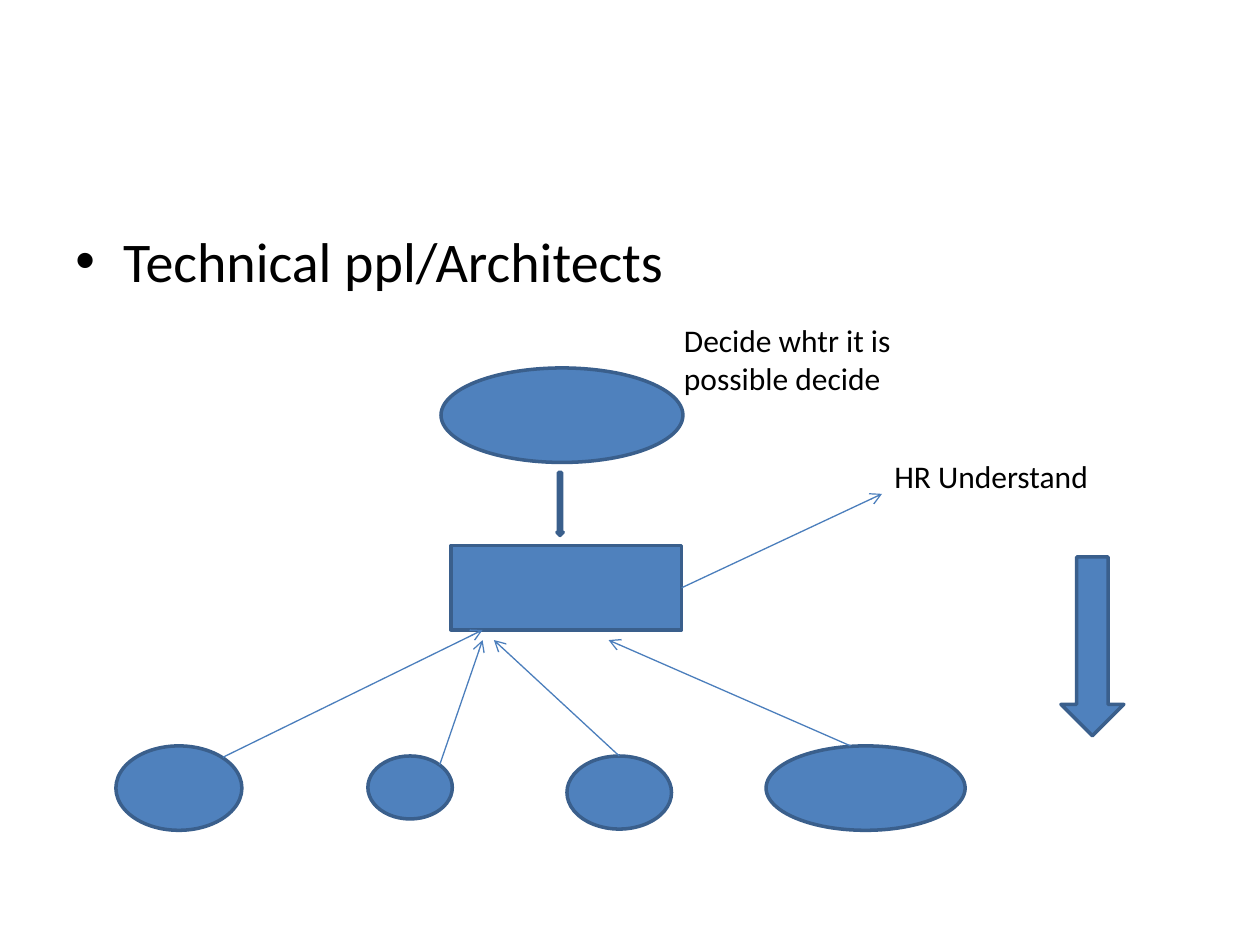
import dataclasses

import pptx
import pptx.dml.color
import pptx.enum.shapes
import pptx.oxml
import pptx.util

Inches = pptx.util.Inches
Pt = pptx.util.Pt
Kind = pptx.enum.shapes.MSO_SHAPE
TOP, RIGHT = 0, 3


@dataclasses.dataclass(frozen=True)
class Theme:
    font: str = "Calibri"
    ink: str = "000000"
    fill: str = "4F81BD"
    edge: str = "3A5F8C"
    link: str = "4B7EBC"
    body: float = 32
    note: float = 18
    border: float = 2
    thin: float = 0.75


THEME = Theme()


def color(code):
    return pptx.dml.color.RGBColor.from_string(code)


def add_text(slide, text, box, size=THEME.note, bullet=False, before=0):
    shape = slide.shapes.add_textbox(*map(Inches, box))
    shape.text_frame.word_wrap = True
    para = shape.text_frame.paragraphs[0]
    para.space_before = Pt(before)
    run = para.add_run()
    run.text = text
    run.font.name = THEME.font
    run.font.size = Pt(size)
    run.font.color.rgb = color(THEME.ink)
    if bullet:
        props = para._p.get_or_add_pPr()
        props.set("marL", str(Inches(0.38)))
        props.set("indent", str(Inches(-0.38)))
        space = pptx.oxml.ns.nsdecls("a")
        for mark in ('<a:buFont %s typeface="Arial"/>', '<a:buChar %s char="•"/>'):
            props.append(pptx.oxml.parse_xml(mark % space))


def add_node(slide, kind, box):
    node = slide.shapes.add_shape(kind, *map(Inches, box))
    node.shadow.inherit = False
    node.fill.solid()
    node.fill.fore_color.rgb = color(THEME.fill)
    node.line.color.rgb = color(THEME.edge)
    node.line.width = Pt(THEME.border)
    return node


def add_arrow(slide, start, end, source=None, site=TOP):
    """Draw a thin arrow, joined to a side of source when one is given."""
    link = slide.shapes.add_connector(
        pptx.enum.shapes.MSO_CONNECTOR.STRAIGHT, *map(Inches, start + end))
    if source is not None:
        link.begin_connect(source, site)
    link.line.color.rgb = color(THEME.link)
    link.line.width = Pt(THEME.thin)
    space = pptx.oxml.ns.nsdecls("a")
    link.line._get_or_add_ln().append(
        pptx.oxml.parse_xml('<a:tailEnd %s type="arrow"/>' % space))
    link._element.spPr.append(
        pptx.oxml.parse_xml("<a:effectLst %s/>" % space))


def main():
    deck = pptx.Presentation()
    deck.slide_width, deck.slide_height = Inches(10), Inches(7.5)
    slide = deck.slides.add_slide(deck.slide_layouts[6])

    add_text(slide, "Technical ppl/Architects", (0.5, 1.75, 9, 4.95),
             size=THEME.body, bullet=True, before=6.4)
    add_node(slide, Kind.OVAL, (3.5, 2.92, 1.92, 0.75))
    add_text(slide, "Decide whtr it is possible decide", (5.33, 2.5, 2.5, 0.71))
    hub = add_node(slide, Kind.RECTANGLE, (3.58, 4.33, 1.83, 0.67))
    add_node(slide, Kind.DOWN_ARROW, (4.42, 3.75, 0.05, 0.5))

    # Each lower oval: box, arrow start, arrow end, joined at its top
    team = [
        ((0.92, 5.92, 1, 0.67), (1.77, 6.01), (3.83, 5), False),
        ((2.92, 6, 0.67, 0.5), (3.49, 6.07), (3.83, 5.08), False),
        ((4.5, 6, 0.83, 0.58), (4.92, 6), (3.92, 5.08), True),
        ((6.08, 5.92, 1.58, 0.67), (6.75, 5.92), (4.83, 5.08), False),
    ]
    for box, start, end, joined in team:
        oval = add_node(slide, Kind.OVAL, box)
        add_arrow(slide, start, end, source=oval if joined else None)

    add_node(slide, Kind.DOWN_ARROW, (8.42, 4.42, 0.5, 1.42))
    add_text(slide, "HR Understand", (7, 3.58, 2.17, 0.4))
    add_arrow(slide, (5.42, 4.67), (7, 3.92), source=hub, site=RIGHT)

    deck.save("out.pptx")


if __name__ == "__main__":
    main()
